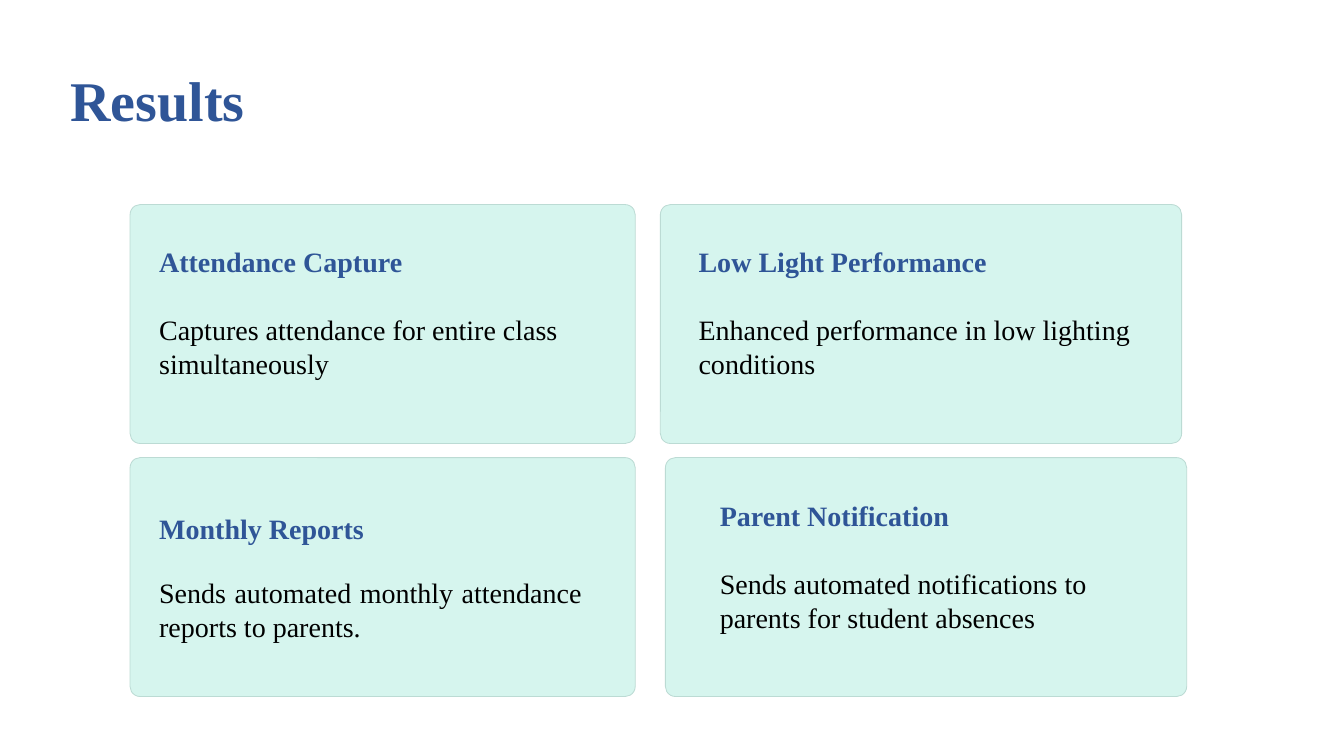
import pptx
import pptx.util
import pptx.dml.color
import pptx.enum.shapes
import pptx.enum.text

Inches = pptx.util.Inches
Pt = pptx.util.Pt
Align = pptx.enum.text.PP_ALIGN

FONT = "Times New Roman"
BLUE, BLACK = "2F5597", "000000"
CARD_FILL, CARD_LINE = "D6F5EE", "BCDBD4"
CARD_HEIGHT = 2.37

TITLE = "Results"
RESULTS = [
    {"heading": "Attendance Capture",
     "detail": "Captures attendance for entire class simultaneously",
     "card": (1.29, 2.03, 5.01), "text": (1.48, 2.38, 4.83, 1.45),
     "gap": 24.4, "align": Align.LEFT},
    {"heading": "Low Light Performance",
     "detail": "Enhanced performance in low lighting conditions",
     "card": (6.55, 2.03, 5.17), "text": (6.83, 2.38, 5.11, 1.45),
     "gap": 24.4, "align": Align.LEFT},
    {"heading": "Monthly Reports",
     "detail": "Sends automated monthly attendance reports to parents.",
     "card": (1.29, 4.54, 5.01), "text": (1.48, 5.02, 4.39, 2.02),
     "gap": 22, "align": Align.JUSTIFY},
    {"heading": "Parent Notification",
     "detail": "Sends automated notifications to parents for student absences",
     "card": (6.6, 4.54, 5.17), "text": (7.04, 4.9, 4.09, 1.45),
     "gap": 24.4, "align": Align.LEFT},
]


def color(value):
    return pptx.dml.color.RGBColor.from_string(value)


def write(para, text, size, shade, bold):
    para.text = text
    for span in para.runs:
        span.font.name = FONT
        span.font.size = Pt(size)
        span.font.bold = bold
        span.font.color.rgb = color(shade)


def add_card(page, left, top, width):
    card = page.shapes.add_shape(
        pptx.enum.shapes.MSO_SHAPE.ROUNDED_RECTANGLE,
        Inches(left), Inches(top), Inches(width), Inches(CARD_HEIGHT))
    card.adjustments[0] = 0.042
    card.shadow.inherit = False
    card.fill.solid()
    card.fill.fore_color.rgb = color(CARD_FILL)
    card.line.color.rgb = color(CARD_LINE)
    card.line.width = Pt(0.6)


def add_result(page, result):
    add_card(page, *result["card"])
    box = page.shapes.add_textbox(*map(Inches, result["text"]))
    frame = box.text_frame
    frame.word_wrap = True
    write(frame.paragraphs[0], result["heading"], 20, BLUE, True)
    detail = frame.add_paragraph()
    write(detail, result["detail"], 20, BLACK, False)
    detail.space_before = Pt(result["gap"])
    detail.alignment = result["align"]


def add_title(page):
    title = page.shapes.title
    title.left, title.top, title.width, title.height = map(
        Inches, (0.6, 0.6, 4.43, 0.77))
    frame = title.text_frame
    frame.auto_size = pptx.enum.text.MSO_AUTO_SIZE.NONE
    frame.vertical_anchor = pptx.enum.text.MSO_ANCHOR.TOP
    write(frame.paragraphs[0], TITLE, 40, BLUE, True)
    frame.paragraphs[0].alignment = Align.LEFT


def main():
    deck = pptx.Presentation()
    deck.slide_width, deck.slide_height = Inches(13.33), Inches(7.5)
    page = deck.slides.add_slide(deck.slide_layouts[5])
    add_title(page)
    for result in RESULTS:
        add_result(page, result)
    deck.save("out.pptx")


if __name__ == "__main__":
    main()
